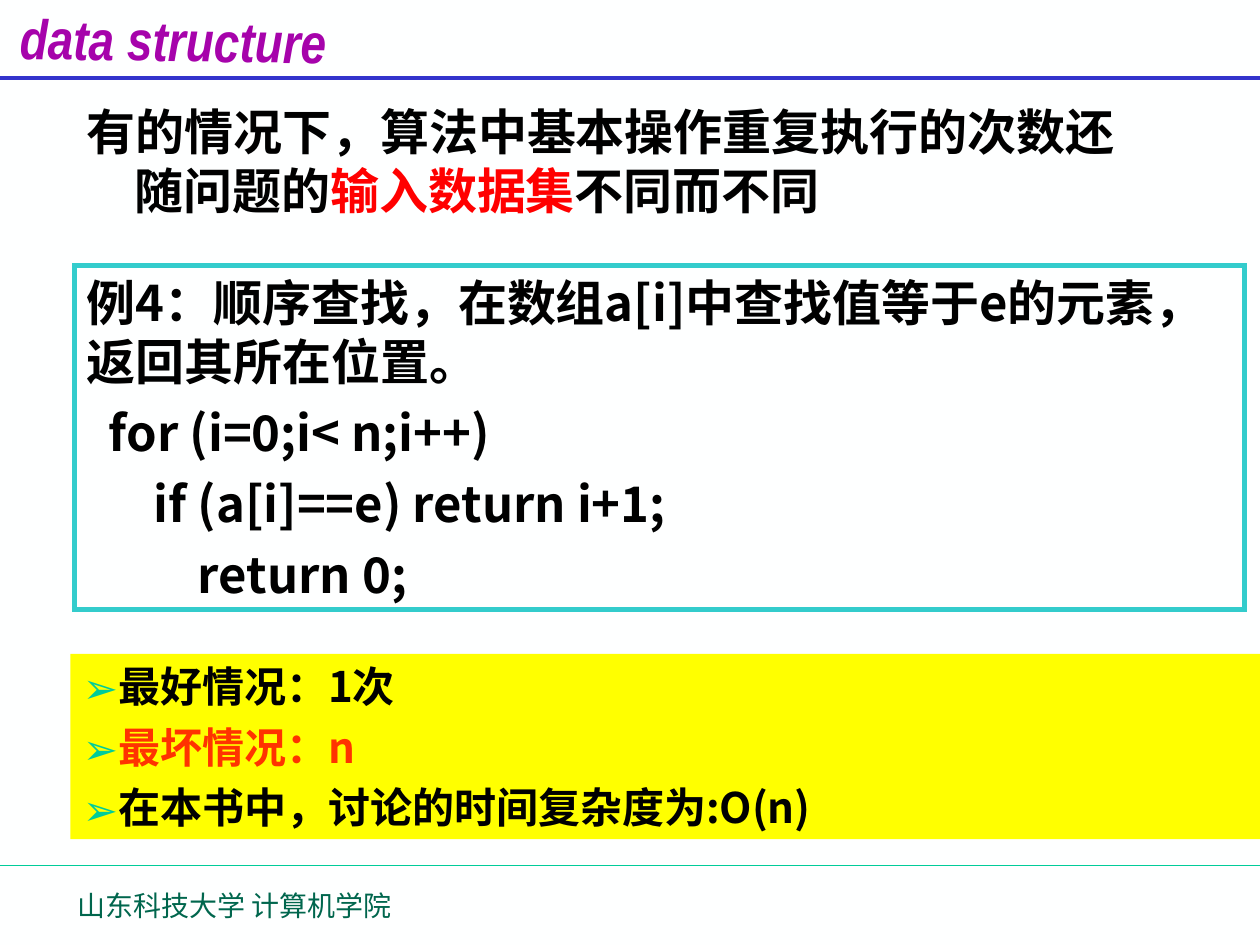
from lxml import etree
from pptx import Presentation
from pptx import util as u
from pptx.dml.color import RGBColor
from pptx.enum import shapes, text
from pptx.oxml import ns

CJK = "Noto Sans CJK SC"


def color(value):
    return RGBColor.from_string(value)


def add_para(box, spans, size, before=0, font=CJK, bold=True, spacing=1.2):
    """Append a paragraph made of (words, colour) spans to a box."""
    frame = box.text_frame
    first = not frame.paragraphs[0].runs
    para = frame.paragraphs[0] if first else frame.add_paragraph()
    para.alignment = text.PP_ALIGN.LEFT
    para.space_before = u.Pt(0 if first else before)
    para.line_spacing = u.Pt(round(size * spacing, 1))
    para._p.get_or_add_pPr().set("hangingPunct", "0")
    for words, hue in spans:
        span = para.add_run()
        span.text = words
        span.font.size = u.Pt(size)
        span.font.bold = bold
        span.font.name = font
        span.font.color.rgb = color(hue)
        east = etree.SubElement(span.font._element, ns.qn("a:ea"))
        east.set("typeface", font)
    return para


deck = Presentation()
deck.slide_width, deck.slide_height = u.Inches(10), u.Inches(7.5)
page = deck.slides.add_slide(deck.slide_layouts[6])
page.background.fill.solid()
page.background.fill.fore_color.rgb = color("FEFFFF")

# Footer and header rules
for top, hue, width in ((6.87, "00CC99", 0.75), (0.62, "3333CC", 2.25)):
    rule = page.shapes.add_connector(
        shapes.MSO_CONNECTOR.STRAIGHT,
        u.Inches(0), u.Inches(top), u.Inches(10), u.Inches(top))
    rule.line.color.rgb = color(hue)
    rule.line.width = u.Pt(width)
    etree.SubElement(rule._element.spPr, ns.qn("a:effectLst"))

# Course title, wide enough for one line
title = page.shapes.add_textbox(
    u.Inches(0.06), u.Inches(0.02), u.Inches(2.9), u.Inches(0.54))
title.rotation = 0.8
title.text_frame.word_wrap = True
para = add_para(title, [("data structure", "A603AB")], 32,
                font="Arial Narrow", spacing=1.15)
para.runs[0].font.italic = True

# Example frame with code
example = page.shapes.add_shape(
    shapes.MSO_SHAPE.RECTANGLE,
    u.Inches(0.59), u.Inches(2.11), u.Inches(9.29), u.Inches(2.73))
example.shadow.inherit = False
example.fill.background()
example.line.color.rgb = color("33CCCC")
example.line.width = u.Pt(3)
outline = example._element.spPr.find(ns.qn("a:ln"))
etree.SubElement(outline, ns.qn("a:miter")).set("lim", "800000")
example.text_frame.word_wrap = True
example.text_frame.vertical_anchor = text.MSO_ANCHOR.MIDDLE
for words in ("例4：顺序查找，在数组a[i]中查找值等于e的元素，返回其所在位置。",
              "  for (i=0;i< n;i++)",
              "      if (a[i]==e) return i+1;",
              "          return 0;"):
    add_para(example, [(words, "000000")], 28, before=7)

# Introduction with hanging indent
intro = page.shapes.add_textbox(
    u.Inches(0.59), u.Inches(0.76), u.Inches(8.66), u.Inches(1.04))
intro.text_frame.word_wrap = True
para = add_para(intro, [
    ("有的情况下，算法中基本操作重复执行的次数还随问题的", "000000"),
    ("输入数据集", "FF0000"),
    ("不同而不同", "000000")], 28)
properties = para._p.get_or_add_pPr()
properties.set("marL", str(u.Inches(0.38)))
properties.set("indent", str(u.Inches(-0.38)))

# Yellow summary with arrow bullets
summary = page.shapes.add_shape(
    shapes.MSO_SHAPE.RECTANGLE,
    u.Inches(0.56), u.Inches(5.19), u.Inches(9.44), u.Inches(1.47))
summary.shadow.inherit = False
summary.fill.solid()
summary.fill.fore_color.rgb = color("FFFF00")
summary.line.fill.background()
summary.text_frame.word_wrap = True
summary.text_frame.vertical_anchor = text.MSO_ANCHOR.TOP
for words, hue in (("最好情况：1次", "000000"),
                   ("最坏情况：n", "FF3300"),
                   ("在本书中，讨论的时间复杂度为:O(n)", "000000")):
    para = add_para(summary, [(words, hue)], 24, before=6)
    properties = para._p.get_or_add_pPr()
    bullet_color = etree.SubElement(properties, ns.qn("a:buClr"))
    etree.SubElement(bullet_color, ns.qn("a:srgbClr")).set("val", "00CC99")
    etree.SubElement(properties, ns.qn("a:buFont")).set("typeface", CJK)
    etree.SubElement(properties, ns.qn("a:buChar")).set("char", "➢")

# Footer
footer = page.shapes.add_textbox(
    u.Inches(0.52), u.Inches(7), u.Inches(4.14), u.Inches(0.5))
footer.text_frame.word_wrap = True
add_para(footer, [("山东科技大学 计算机学院", "00664D")], 16, bold=False)

deck.save("out.pptx")
